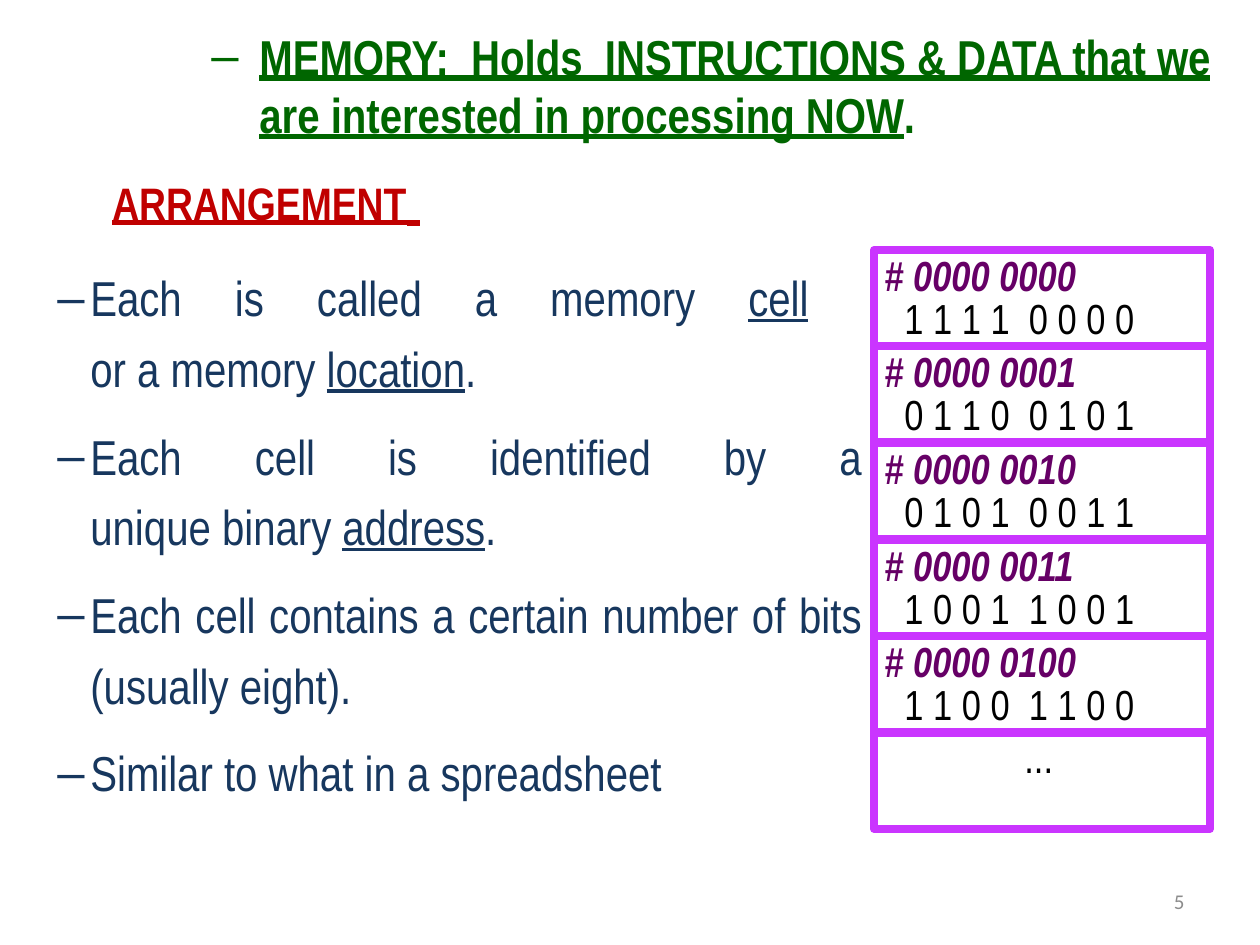
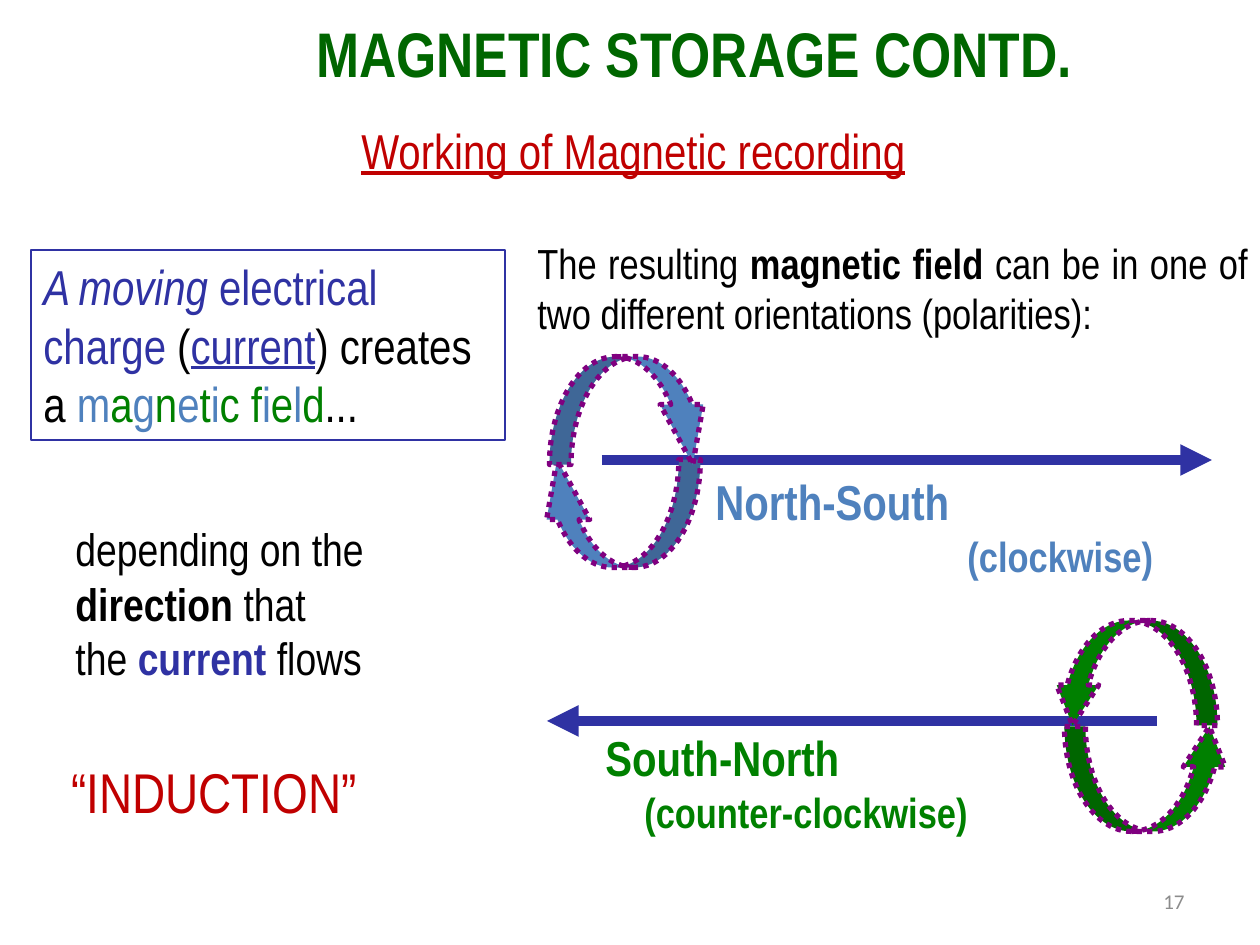
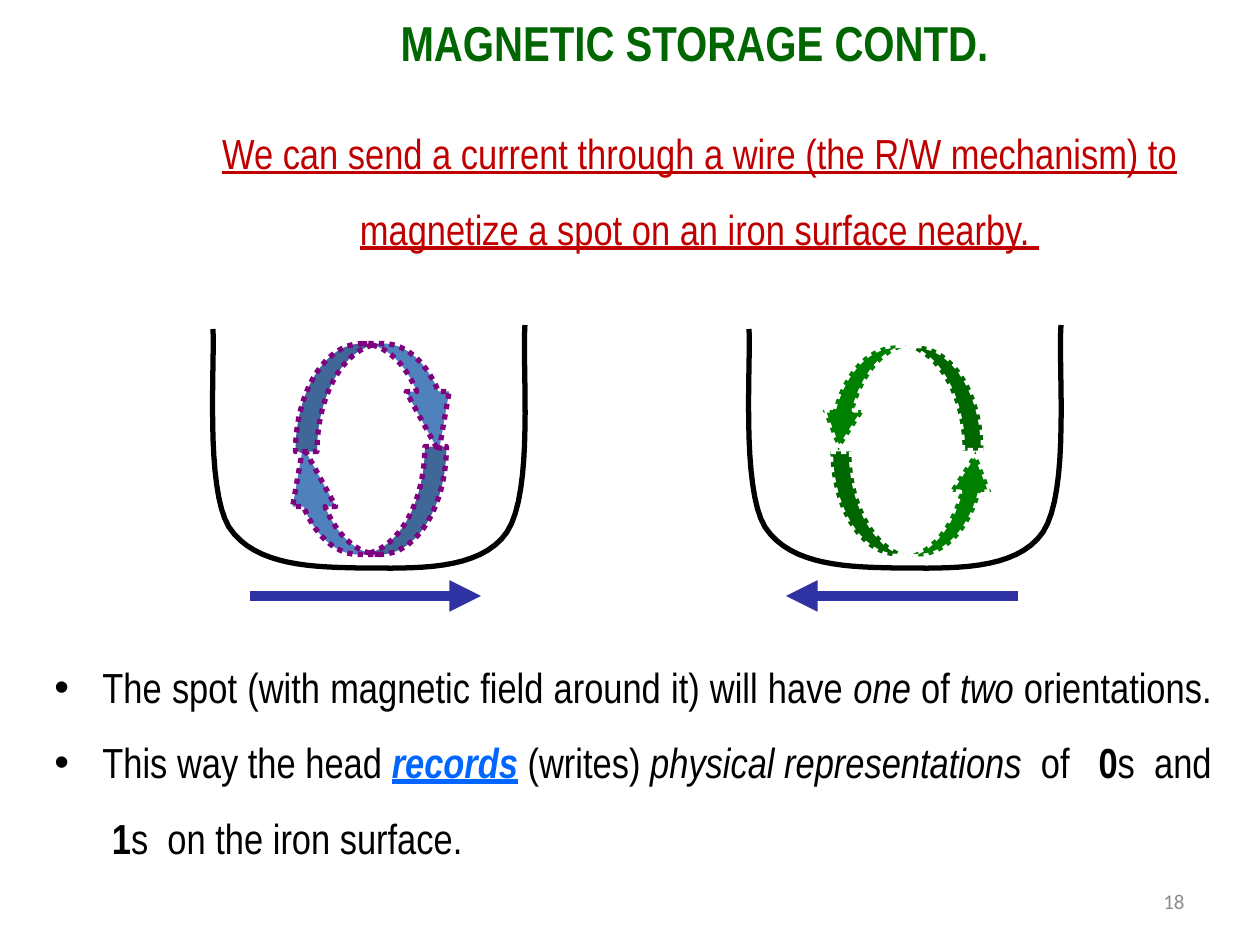
import itertools

import pptx
import pptx.dml.color
import pptx.enum.dml
import pptx.enum.shapes
import pptx.enum.text
import pptx.oxml
import pptx.oxml.ns
import pptx.util

PX = 914400 / 126
ALIGN = pptx.enum.text.PP_ALIGN
SHAPE = pptx.enum.shapes.MSO_SHAPE
FACE = "Arial Narrow"
COLORS = {
    "title": "006600", "red": "C00000", "navy": "17375E", "plum": "660066",
    "cell": "CA35FF", "ink": "000000", "blue": "2F32A3", "sky": "4F81BD",
    "green": "008000", "purple": "800080", "link": "0066FF",
    "white": "FFFFFF", "grey": "8C8C8C",
}
# Each half of a loop: offset from the loop's place, then its flips.
LOOPS = {
    "sky": {"size": (108, 165), "bend": 0.556,
            "halves": [(0, 103, "H"), (14, 0, "V")]},
    "green": {"size": (105, 166), "bend": 0.385,
              "halves": [(0, 0, ""), (13, 106, "HV")]},
}


def emu(*values):
    return [pptx.util.Emu(round(v * PX)) for v in values]


def rgb(name):
    return pptx.dml.color.RGBColor.from_string(COLORS[name])


def node(tag, **attrs):
    item = pptx.oxml.parse_xml(f"<a:{tag} {pptx.oxml.ns.nsdecls('a')}/>")
    for key, value in attrs.items():
        item.set(key, value)
    return item


def ink(line, color, width):
    line.color.rgb = rgb(color)
    line.width = pptx.util.Pt(width)


def add_run(para, words, marks, color, size, face):
    """Add words to para; a newline becomes a line break."""
    for i, part in enumerate(words.split("\n")):
        if i:
            para.add_line_break()
        run = para.add_run()
        run.text = part
        font = run.font
        font.name, font.size = face, pptx.util.Pt(size)
        font.color.rgb = rgb(color)
        font.bold, font.italic = "b" in marks, "i" in marks
        font.underline = "u" in marks


def add_text(slide, box, paras, size, color="ink", marks="", align=None,
             space=None, gap=0, bullet=None, indent=(0, 0), face=FACE):
    """Each run is a string or (words, marks, color, size), last two optional."""
    shape = slide.shapes.add_textbox(*emu(*box))
    frame = shape.text_frame
    frame.word_wrap = True
    for i, runs in enumerate(paras):
        para = frame.add_paragraph() if i else frame.paragraphs[0]
        para.alignment = align
        if space:
            para.line_spacing = space
        if i and gap:
            para.space_before = pptx.util.Pt(gap)
        props = para._p.get_or_add_pPr()
        left, first = emu(*indent)
        props.set("marL", str(left))
        props.set("indent", str(first))
        if bullet:
            props.append(node("buFont", typeface="Arial"))
            props.append(node("buChar", char=bullet))
        for run in runs:
            words, *rest = (run, marks) if isinstance(run, str) else run
            look = rest + [marks, color, size][len(rest):]
            add_run(para, words, *look, face)
    return shape


def add_page(deck, number):
    slide = deck.slides.add_slide(deck.slide_layouts[6])
    box = add_text(slide, (903, 876, 294, 50), [[str(number)]], 12, "grey",
                   align=ALIGN.RIGHT, face="Calibri")
    box.text_frame.vertical_anchor = pptx.enum.text.MSO_ANCHOR.MIDDLE
    return slide


def add_title(slide, size):
    add_text(slide, (164, 0, 1061, 96), [["MAGNETIC STORAGE CONTD."]], size,
             "title", "b", ALIGN.CENTER, 1.11)


def add_arrow(slide, start, end, y):
    arrow = slide.shapes.add_connector(
        pptx.enum.shapes.MSO_CONNECTOR.STRAIGHT, *emu(start, y, end, y))
    ink(arrow.line, "blue", 6)
    arrow.line._get_or_add_ln().append(node("tailEnd", type="triangle"))
    arrow._element.spPr.append(node("effectLst"))


def add_loop(slide, x, y, color, edge="purple"):
    """Draw two curved arrows that chase each other."""
    loop = LOOPS[color]
    for dx, dy, flips in loop["halves"]:
        half = slide.shapes.add_shape(
            SHAPE.CURVED_RIGHT_ARROW, *emu(x + dx, y + dy, *loop["size"]))
        half.shadow.inherit = False
        half.rotation = 90
        for axis in flips:
            half._element.spPr.xfrm.set("flip" + axis, "1")
        for i, value in enumerate((0.2, 0.4, loop["bend"])):
            half.adjustments[i] = value
        half.fill.solid()
        half.fill.fore_color.rgb = rgb(color)
        ink(half.line, edge, 3)
        half.line.dash_style = pptx.enum.dml.MSO_LINE.ROUND_DOT


def add_head(slide, x, y):
    """Draw the open U of a read/write head as a chain of Bezier curves."""
    knots = [(8, 4), (10, 37), (0, 163), (24, 202), (50, 242), (111, 242),
             (157, 243), (207, 243), (275, 247), (302, 207), (329, 166),
             (317, 43), (320, 0)]
    steps = 16
    points = []
    for i in range(0, len(knots) - 1, 3):
        for step in range(1, steps + 1):
            t = step / steps
            parts = ((1 - t) ** 3, 3 * t * (1 - t) ** 2,
                     3 * t * t * (1 - t), t ** 3)
            px, py = (sum(k * v for k, v in zip(parts, axis))
                      for axis in zip(*knots[i:i + 4]))
            points.append(emu(x + px, y + py))
    pen = slide.shapes.build_freeform(*emu(x + knots[0][0], y + knots[0][1]))
    pen.add_line_segments(points, close=False)
    head = pen.convert_to_shape()
    head.shadow.inherit = False
    head.fill.background()
    ink(head.line, "ink", 3)


def add_cells(slide, x, y, width, height):
    cells = [("# 0000 0000", "1 1 1 1  0 0 0 0"),
             ("# 0000 0001", "0 1 1 0  0 1 0 1"),
             ("# 0000 0010", "0 1 0 1  0 0 1 1"),
             ("# 0000 0011", "1 0 0 1  1 0 0 1"),
             ("# 0000 0100", "1 1 0 0  1 1 0 0"),
             None]
    for i, cell in enumerate(cells):
        top = y + i * height // len(cells)
        frame = slide.shapes.add_shape(
            SHAPE.RECTANGLE, *emu(x, top, width, height // len(cells)))
        frame.shadow.inherit = False
        frame.fill.background()
        ink(frame.line, "cell", 4.5)
        if cell:
            add_text(slide, (x - 2, top - 7, 230, 64), [[cell[0]]], 24,
                     "plum", "bi")
            add_text(slide, (x + 18, top + 36, width, 63), [[cell[1]]], 24)
        else:
            add_text(slide, (x + 138, top - 8, 60, 64), [["..."]], 24)


def memory_slide(deck):
    slide = add_page(deck, 5)
    add_text(slide, (-18, 250, 892, 645), [
        ["Each is called a memory ", ("cell", "u"), " \nor a memory ",
         ("location", "u"), "."],
        ["Each cell is identified by a\nunique binary ", ("address", "u"), "."],
        ["Each cell contains a certain number of bits (usually eight)."],
        ["Similar to what in a spreadsheet"],
    ], 28, "navy", align=ALIGN.JUSTIFY, space=1.2, gap=9.8, bullet="–",
        indent=(96, -33))
    add_text(slide, (100, 158, 1111, 82),
             [["ARRANGEMENT", (" ", "bu", "red", 32)]], 26, "red", "bu")
    add_text(slide, (199, 20, 1061, 137), [
        ["MEMORY:  Holds  INSTRUCTIONS & DATA that we are interested in "
         "processing NOW", (".", "b")],
    ], 28, "title", "bu", bullet="–", indent=(48, -48))
    add_cells(slide, 874, 250, 336, 580)


def field_slide(deck):
    slide = add_page(deck, 17)
    add_title(slide, 36)
    add_text(slide, (76, 108, 1114, 70), [["Working of Magnetic recording"]],
             28, "red", "u", ALIGN.CENTER, 1.11)
    add_arrow(slide, 602, 1212, 460)
    add_arrow(slide, 1157, 547, 721)
    add_text(slide, (525, 231, 735, 115), [
        ["The resulting", (" magnetic field ", "b"),
         "can be in one of two different orientations (polarities):"],
    ], 24, align=ALIGN.JUSTIFY)

    add_loop(slide, 564, 328, "sky")
    add_loop(slide, 1082, 590, "green")
    labels = [(703, 465, "sky", "North-South", "(clockwise)", 252),
              (593, 721, "green", "South-North", "(counter-clockwise)", 39)]
    for x, y, color, name, turn, shift in labels:
        add_text(slide, (x, y, 400, 70), [[name]], 28, color, "b")
        add_text(slide, (x + shift, y + 59, 400, 64), [[turn]], 24, color, "b")

    parts = ["m", "a", "g", "n", "e", "t", "i", "c f", "i", "e", "l", "d"]
    mixed = [(part, "", color) for part, color
             in zip(parts, itertools.cycle(("sky", "green")))]
    charge = add_text(slide, (31, 250, 474, 190), [
        [("A moving", "i", "blue"), (" electrical charge", "", "blue"), " (",
         ("current", "u", "blue"), ") creates a ", *mixed, "..."],
    ], 28)
    ink(charge.line, "blue", 0.75)
    add_text(slide, (63, 515, 410, 178), [
        ["depending on the"], [("direction", "b"), " that"],
        ["the ", ("current", "b", "blue"), " flows"],
    ], 26, align=ALIGN.JUSTIFY)
    add_text(slide, (0, 751, 441, 79), [["“INDUCTION” "]], 32, "red",
             align=ALIGN.CENTER)


def record_slide(deck):
    slide = add_page(deck, 18)
    add_title(slide, 28)
    add_text(slide, (184, 96, 1031, 156), [
        ["We can send a current through a wire (the R/W mechanism) to "
         "magnetize a spot on an iron surface nearby. "],
    ], 24, "red", "u", ALIGN.CENTER, 1.5)
    add_loop(slide, 310, 315, "sky")
    add_loop(slide, 848, 315, "green", "white")
    for x in (205, 741):
        add_head(slide, x, 325)
    add_arrow(slide, 250, 481, 596)
    add_arrow(slide, 1018, 786, 596)
    add_text(slide, (42, 630, 1182, 242), [
        ["The spot (with magnetic field around it) will have ", ("one", "i"),
         " of ", ("two", "i"), " orientations. "],
        ["This way the head ", ("records", "biu", "link"), " (writes)",
         (" physical representations ", "i"), " of   ", ("0", "b"),
         "s  and  ", ("1", "b"), "s  on the iron surface."],
    ], 24, align=ALIGN.JUSTIFY, space=1.5, bullet="•", indent=(48, -48))


def main():
    deck = pptx.Presentation()
    deck.slide_width, deck.slide_height = emu(1260, 945)
    memory_slide(deck)
    field_slide(deck)
    record_slide(deck)
    deck.save("out.pptx")


if __name__ == "__main__":
    main()
